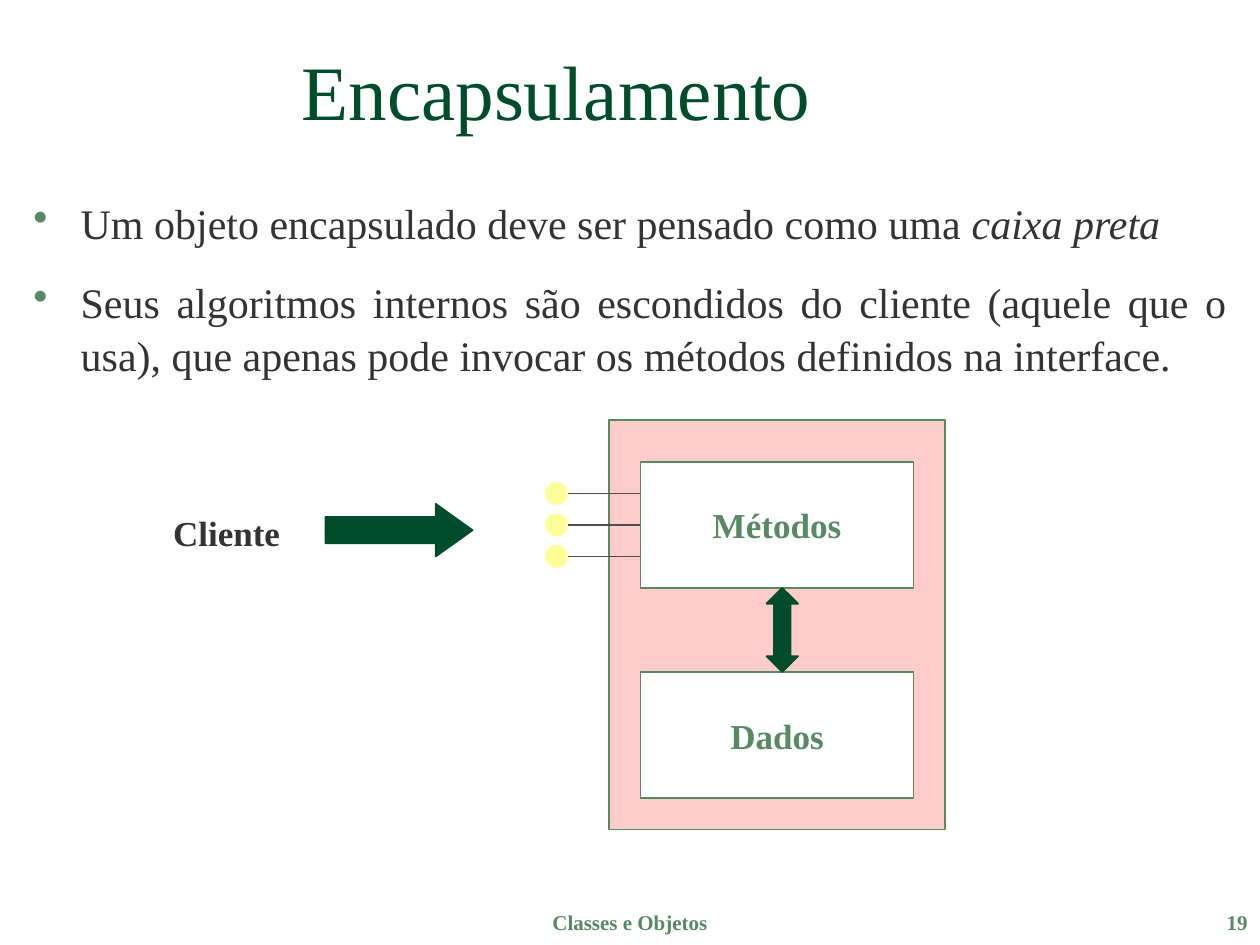
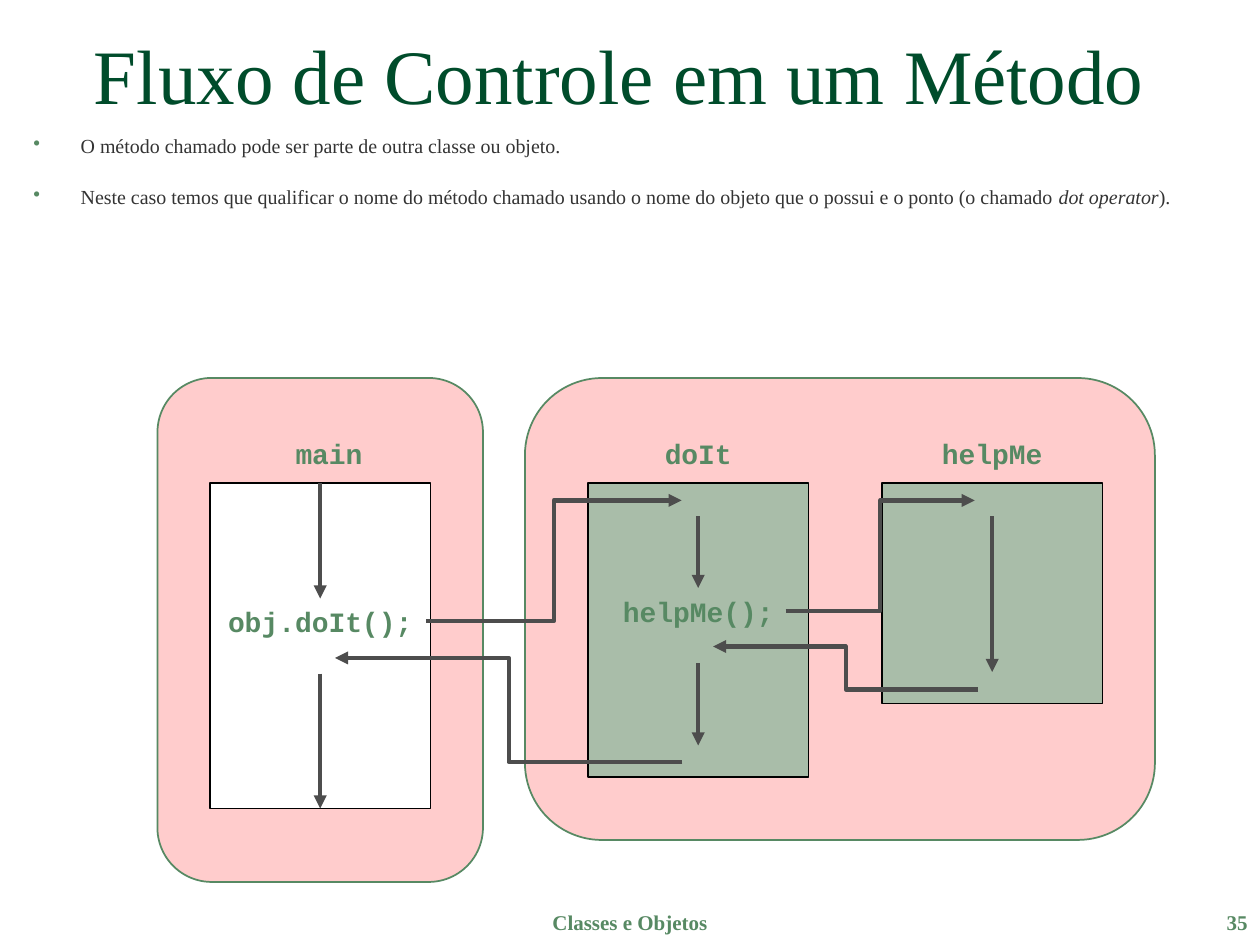
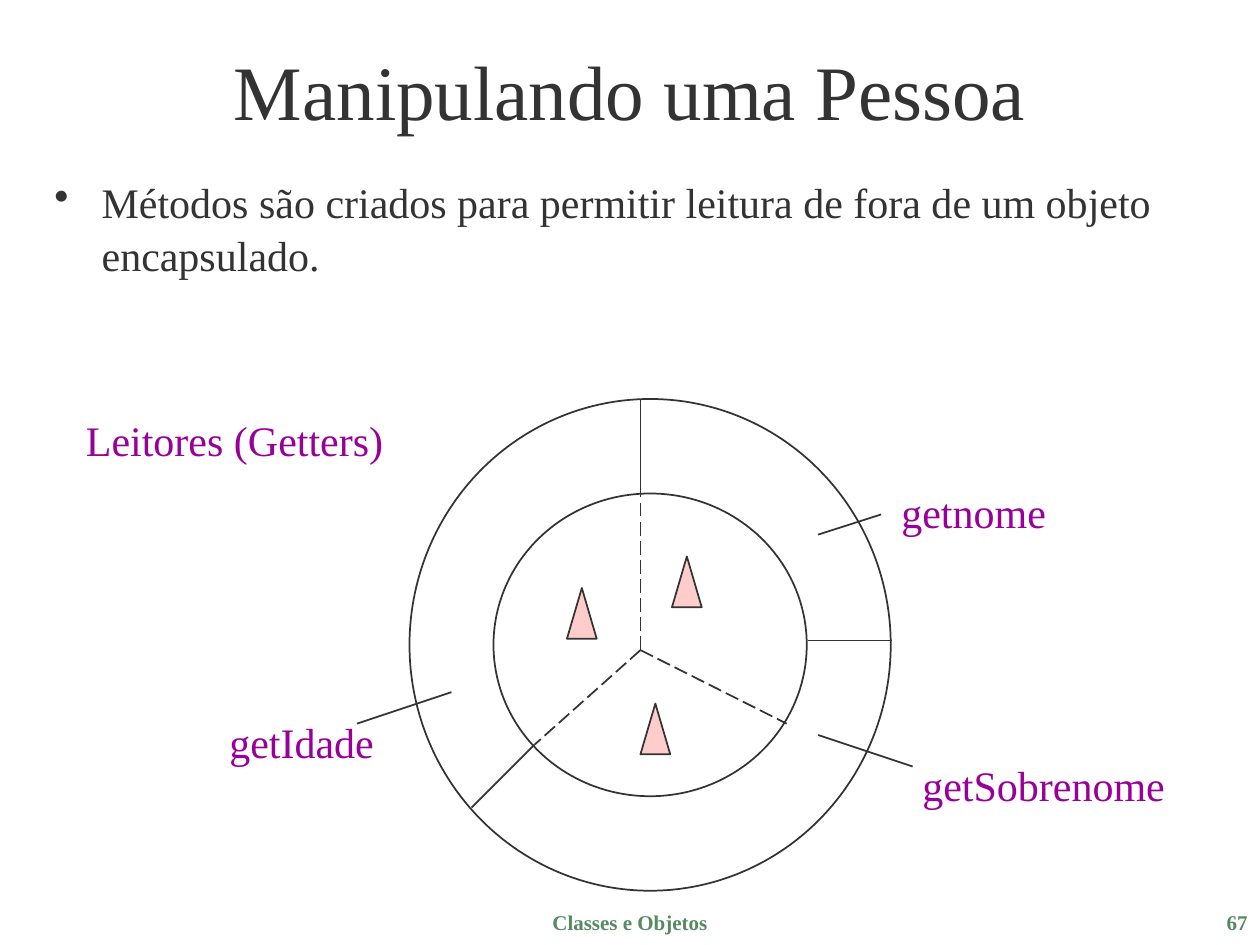
from lxml.etree import SubElement
from pptx import Presentation
from pptx.dml.color import RGBColor
from pptx.enum.dml import MSO_LINE
from pptx.enum.shapes import MSO_CONNECTOR as CONN, MSO_SHAPE as SHAPE
from pptx.enum.text import MSO_ANCHOR as ANCHOR, MSO_AUTO_SIZE, PP_ALIGN as ALIGN
from pptx.oxml.ns import qn
from pptx.util import Pt

DARK_GREEN = RGBColor(0x00, 0x4C, 0x2B)
GREEN = RGBColor(0x57, 0x89, 0x63)
SAGE = RGBColor(0xA9, 0xBD, 0xA9)
PINK = RGBColor(0xFF, 0xCC, 0xCC)
YELLOW = RGBColor(0xFF, 0xFF, 0x99)
PURPLE = RGBColor(0x99, 0x00, 0x99)
TEXT = RGBColor(0x33, 0x33, 0x33)
GRAY = RGBColor(0x4D, 0x4D, 0x4D)
BLACK = RGBColor(0x00, 0x00, 0x00)
WHITE = RGBColor(0xFF, 0xFF, 0xFF)
SERIF = "Times New Roman"
MONO = "Courier New"


def add_bullet(p, color):
    pPr = p._p.get_or_add_pPr()
    pPr.set("marL", str(Pt(27)))
    pPr.set("indent", str(-Pt(27)))
    clr = SubElement(pPr, qn("a:buClr"))
    SubElement(clr, qn("a:srgbClr"), val=str(color))
    SubElement(pPr, qn("a:buChar"), char="•")


def put_text(sp, *paragraphs, size=20, color=TEXT, font=SERIF, bold=False, align=ALIGN.CENTER,
             anchor=ANCHOR.MIDDLE, wrap=True, bullet=None, gap=0, spacing=None):
    tf = sp.text_frame
    tf.word_wrap = wrap
    tf.auto_size = MSO_AUTO_SIZE.NONE
    tf.vertical_anchor = anchor
    for i, text in enumerate(paragraphs):
        p = tf.add_paragraph() if i else tf.paragraphs[0]
        if bullet is not None:
            add_bullet(p, bullet)
        p.alignment = align
        p.line_spacing = spacing
        p.space_before = Pt(gap if i else 0)
        for j, piece in enumerate(text.split("*")):
            if piece:
                r = p.add_run()
                r.text = piece
                f = r.font
                f.name, f.size, f.bold, f.italic = font, Pt(size), bold, j % 2 == 1
                f.color.rgb = color
    return sp


def add_text(s, x, y, w, h, *paragraphs, fill=None, **fmt):
    sp = s.shapes.add_textbox(Pt(x), Pt(y), Pt(w), Pt(h))
    if fill is not None:
        sp.fill.solid()
        sp.fill.fore_color.rgb = fill
    return put_text(sp, *paragraphs, **fmt)


def add_shape(s, kind, x, y, w, h, fill=None, line=GREEN, adj=()):
    sp = s.shapes.add_shape(kind, Pt(x), Pt(y), Pt(w), Pt(h))
    sp.shadow.inherit = False
    if fill is None:
        sp.fill.background()
    else:
        sp.fill.solid()
        sp.fill.fore_color.rgb = fill
    sp.line.color.rgb = line
    sp.line.width = Pt(1)
    for i, value in enumerate(adj):
        sp.adjustments[i] = value
    return sp


def add_line(s, x1, y1, x2, y2, color=GRAY, width=1, kind=CONN.STRAIGHT, dash=None, arrow=False):
    cx = s.shapes.add_connector(kind, Pt(x1), Pt(y1), Pt(x2), Pt(y2))
    SubElement(cx._element.spPr, qn("a:effectLst"))
    cx.line.color.rgb = color
    cx.line.width = Pt(width)
    if dash:
        cx.line.dash_style = dash
    if arrow:
        SubElement(cx.line._get_or_add_ln(), qn("a:tailEnd"), type="triangle")
    return cx


def new_slide(prs, title, number, x, y, w, color=DARK_GREEN, anchor=ANCHOR.MIDDLE):
    s = prs.slides.add_slide(prs.slide_layouts[5])
    sp = s.shapes.title
    sp.left, sp.top, sp.width, sp.height = Pt(x), Pt(y), Pt(w), Pt(90)
    put_text(sp, title, size=44, color=color, anchor=anchor)
    footer = dict(size=12, color=GREEN, bold=True, anchor=ANCHOR.TOP)
    add_text(s, 246, 516, 228, 36, "Classes e Objetos", **footer)
    add_text(s, 570, 516, 150, 36, str(number), align=ALIGN.RIGHT, **footer)
    return s


def add_body(s, x, y, w, h, *paragraphs, size=24, bullet=GREEN, align=ALIGN.JUSTIFY):
    add_text(s, x, y, w, h, *paragraphs, size=size, bullet=bullet, align=align,
             anchor=ANCHOR.TOP, gap=15, spacing=1.05)


def draw_capsule(s, x, y):
    add_shape(s, SHAPE.RECTANGLE, x, y, 192, 234, PINK)
    methods, data = [
        put_text(add_shape(s, SHAPE.RECTANGLE, x + 18, y + dy, 156, 72, WHITE),
                 name, color=GREEN, bold=True, wrap=False)
        for name, dy in (("Métodos", 24), ("Dados", 144))]
    for i in range(3):
        pin_y = y + 42 + 18 * i
        pin = add_line(s, x + 18, pin_y, x - 30, pin_y)
        if i == 1:
            pin.begin_connect(methods, 1)
        add_shape(s, SHAPE.OVAL, x - 36, pin_y - 6, 12, 12, YELLOW, YELLOW)
    add_shape(s, SHAPE.UP_DOWN_ARROW, x + 90, y + 96, 18, 48, DARK_GREEN, DARK_GREEN, (0.5, 0.53))


def draw_client(s, x, y):
    add_text(s, x, y, 76, 32, "Cliente", bold=True, wrap=False)
    add_shape(s, SHAPE.RIGHT_ARROW, x + 94.5, y, 84, 30, DARK_GREEN, DARK_GREEN, (0.5, 0.7))


def draw_method(s, x, y, h, name, fill, flows, call=None, call_y=0, name_dx=0, name_fill=None):
    box = add_shape(s, SHAPE.RECTANGLE, x, y, 126, h, fill, BLACK)
    code = dict(size=16, color=GREEN, font=MONO, bold=True, wrap=False)
    labels = [(name, name_dx, -30, name_fill)]
    if call:
        labels.append((call, 0, call_y, fill))
    for text, dx, dy, back in labels:
        w = 14.4 + 9.6 * len(text)
        add_text(s, x + 63 + dx - w / 2, y + dy, w, 26.6, text, fill=back, **code)
    for start, end in flows:
        cx = add_line(s, x + 63, y + start, x + 63, y + end, width=2.5, arrow=True)
        if start == 0:
            cx.begin_connect(box, 0)
        if end == h:
            cx.end_connect(box, 2)


def draw_call_flow(s, x, y):
    for dx, w, h in ((0, 186, 288), (210, 360, 264)):
        add_shape(s, SHAPE.FLOWCHART_ALTERNATE_PROCESS, x + dx, y, w, h, PINK)
    top = y + 60
    main, do_it, help_me = x + 30, x + 246, x + 414
    draw_method(s, main, top, 186, "main", WHITE, [(0, 66), (109, 186)],
                "obj.doIt();", 66, name_dx=5)
    draw_method(s, do_it, top, 168, "doIt", SAGE, [(19, 60), (103, 150)],
                "helpMe();", 60, name_fill=PINK)
    draw_method(s, help_me, top, 126, "helpMe", SAGE, [(19, 108)], name_fill=PINK)
    jumps = [(main + 123.5, 79, do_it + 53.5, 10), (do_it + 54, 159.5, main + 71.5, 100),
             (do_it + 113, 73, help_me + 53, 10), (help_me + 55, 118, do_it + 71.5, 93.5)]
    for x1, dy1, x2, dy2 in jumps:
        add_line(s, x1, top + dy1, x2, top + dy2, width=2.5, kind=CONN.ELBOW, arrow=True)


def draw_person(s, x, y):
    for inset_x, inset_y, w, h in ((0, 0, 275, 281), (48, 54, 179, 173)):
        add_shape(s, SHAPE.OVAL, x + inset_x, y + inset_y, w, h, line=TEXT)
    for dx, dy in ((90, 108), (150, 90), (132, 174)):
        add_shape(s, SHAPE.ISOSCELES_TRIANGLE, x + dx, y + dy, 17, 29, PINK, TEXT)
    hub = (132, 143.5)
    dividers = [(132, 0, 132, 54), (35.5, 233.5, 71.5, 197.5), (227.5, 138, 275.5, 138)]
    leaders = [(233.5, 77.5, 269.5, 66), (-30, 185.5, 24, 167.5), (233.5, 192, 287.5, 210)]
    spokes = [(*hub, 132, 54), (*hub, 71.5, 197.5), (*hub, 215.5, 185.5)]
    for lines, dash in ((dividers + leaders, None), (spokes, MSO_LINE.LONG_DASH)):
        for x1, y1, x2, y2 in lines:
            add_line(s, x + x1, y + y1, x + x2, y + y2, TEXT, dash=dash)
    for name, dx, dy, w in (("Leitores (Getters)", -192, 5.5, 184), ("getnome", 274, 46.5, 97),
                            ("getSobrenome", 286, 202.5, 153), ("getIdade", -110, 178, 97)):
        add_text(s, x + dx, y + dy, w, 36, name, size=24, color=PURPLE,
                 align=ALIGN.LEFT, anchor=ANCHOR.TOP, wrap=False)


def encapsulation_slide(prs):
    s = new_slide(prs, "Encapsulamento", 19, 12, 6, 612)
    add_body(s, 12, 108, 696, 114,
             "Um objeto encapsulado deve ser pensado como uma *caixa preta*",
             "Seus algoritmos internos são escondidos do cliente (aquele que o usa), "
             "que apenas pode invocar os métodos definidos na interface.")
    draw_client(s, 91.5, 288)
    draw_capsule(s, 348, 240)


def control_flow_slide(prs):
    s = new_slide(prs, "Fluxo de Controle em um Método", 35, 12, -18, 684, anchor=ANCHOR.BOTTOM)
    add_body(s, 12, 72, 696, 61,
             "O método chamado pode ser parte de outra classe ou objeto.",
             "Neste caso temos que qualificar o nome do método chamado usando o nome do objeto "
             "que o possui e o ponto (o chamado *dot operator*).", size=11.4)
    draw_call_flow(s, 90, 216)


def person_slide(prs):
    s = new_slide(prs, "Manipulando uma Pessoa", 67, 54, 6, 612, color=TEXT)
    add_body(s, 24, 96, 678, 162,
             "Métodos são criados para permitir leitura de fora de um objeto encapsulado.",
             bullet=TEXT, align=ALIGN.LEFT)
    draw_person(s, 234, 228)


def main():
    prs = Presentation()
    prs.slide_width, prs.slide_height = Pt(720), Pt(540)
    encapsulation_slide(prs)
    control_flow_slide(prs)
    person_slide(prs)
    prs.save("out.pptx")


if __name__ == "__main__":
    main()
